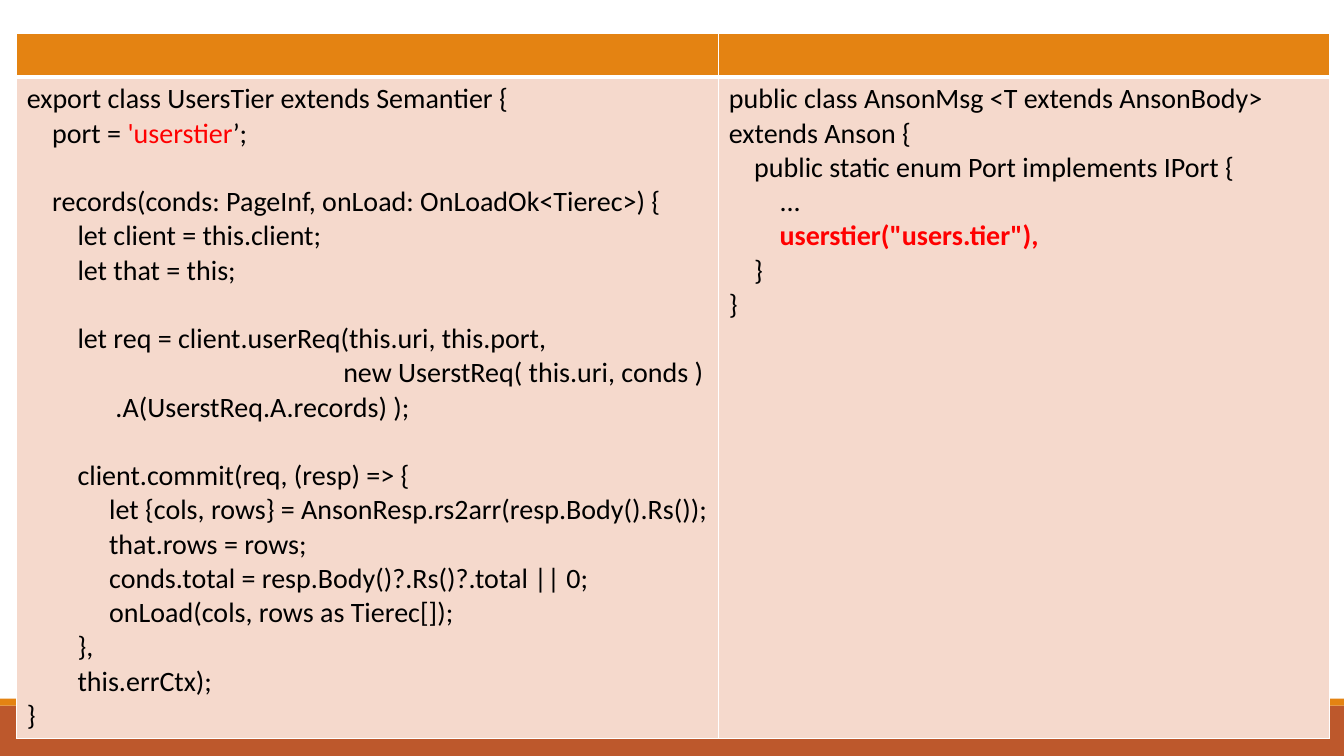
from lxml import etree
from pptx import Presentation
from pptx import util as u
from pptx.dml.color import RGBColor
from pptx.enum import shapes
from pptx.oxml import ns

COLOURS = {"orange": "E48312", "rust": "BD582C", "cell": "F5D9CC",
           "white": "FFFFFF", "black": "000000", "red": "FF0000"}
FONT, SIZE = "Calibri", 20
SPACE = 4.52    # width of one column of indent
LINE = 24.4     # height of one line of code

# Each line of code: indent in columns, blank lines before, (text, colour, bold) runs
def line(indent, *runs, gap=0):
    return indent, gap, [(run, "black", False) if isinstance(run, str) else run
                         for run in runs]


CLIENT_CODE = [
    line(0, "export class UsersTier extends Semantier {"),
    line(4, "port = ", ("'userstier", "red", False), "’;"),
    line(4, "records(conds: PageInf, onLoad: OnLoadOk<Tierec>) {", gap=1),
    line(8, "let client = this.client;"),
    line(8, "let that = this;"),
    line(8, "let req = client.userReq(this.uri, this.port,", gap=1),
    line(50, "new UserstReq( this.uri, conds )"),
    line(14, ".A(UserstReq.A.records) );"),
    line(8, "client.commit(req, (resp) => {", gap=1),
    line(13, "let {cols, rows} = AnsonResp.rs2arr(resp.Body().Rs());"),
    line(13, "that.rows = rows;"),
    line(13, "conds.total = resp.Body()?.Rs()?.total || 0;"),
    line(13, "onLoad(cols, rows as Tierec[]);"),
    line(8, "},"),
    line(8, "this.errCtx);"),
    line(0, "}"),
]
SERVER_CODE = [
    line(0, "public class AnsonMsg <T extends AnsonBody> extends Anson {"),
    line(4, "public static enum Port implements IPort {"),
    line(8, "..."),
    line(8, ('userstier("users.tier"),', "red", True)),
    line(4, "}"),
    line(0, "}"),
]


class SlideBuilder:
    def __init__(self, slide):
        self.slide = slide

    def colour(self, name):
        return RGBColor.from_string(COLOURS[name])

    def bar(self, left, top, width, height, fill):
        shape = self.slide.shapes.add_shape(
            shapes.MSO_SHAPE.RECTANGLE, u.Pt(left), u.Pt(top), u.Pt(width), u.Pt(height))
        shape.shadow.inherit = False
        shape.fill.solid()
        shape.fill.fore_color.rgb = self.colour(fill)
        shape.line.fill.background()

    def table(self, left, top, widths, heights):
        table = self.slide.shapes.add_table(
            len(heights), len(widths), u.Pt(left), u.Pt(top),
            u.Pt(sum(widths)), u.Pt(sum(heights))).table
        table.horz_banding = False
        for column, width in zip(table.columns, widths):
            column.width = u.Pt(width)
        for row, height in zip(table.rows, heights):
            row.height = u.Pt(height)
        return table

    def style_cell(self, cell, fill, top=1, bottom=1):
        properties = cell._tc.get_or_add_tcPr()
        for side, width in (("L", 1), ("R", 1), ("T", top), ("B", bottom)):
            border = etree.SubElement(properties, ns.qn(f"a:ln{side}"), w=str(u.Pt(width)))
            solid = etree.SubElement(border, ns.qn("a:solidFill"))
            etree.SubElement(solid, ns.qn("a:srgbClr"), val=COLOURS["white"])
        cell.fill.solid()
        cell.fill.fore_color.rgb = self.colour(fill)

    def code(self, cell, lines):
        frame = cell.text_frame
        for index, (indent, gap, runs) in enumerate(lines):
            paragraph = frame.add_paragraph() if index else frame.paragraphs[0]
            paragraph.font.name, paragraph.font.size = FONT, u.Pt(SIZE)
            paragraph.space_before = u.Pt(gap * LINE)
            paragraph._p.get_or_add_pPr().set("marL", str(u.Pt(indent * SPACE)))
            for words, colour, bold in runs:
                run = paragraph.add_run()
                run.text = words
                run.font.name, run.font.size = FONT, u.Pt(SIZE)
                run.font.bold = bold
                run.font.color.rgb = self.colour(colour)


def main():
    presentation = Presentation()
    presentation.slide_width, presentation.slide_height = u.Pt(960), u.Pt(540)
    builder = SlideBuilder(presentation.slides.add_slide(presentation.slide_layouts[6]))

    # Footer bands
    builder.bar(0, 504, 960, 36, "rust")
    builder.bar(0, 499, 960, 5, "orange")

    # Code comparison: empty header row above the two listings
    table = builder.table(12, 24, widths=(501.5, 436), heights=(31, 450))
    for column, lines in enumerate((CLIENT_CODE, SERVER_CODE)):
        builder.style_cell(table.cell(0, column), "orange", bottom=3)
        body = table.cell(1, column)
        builder.style_cell(body, "cell", top=3)
        builder.code(body, lines)

    presentation.save("out.pptx")


if __name__ == "__main__":
    main()
